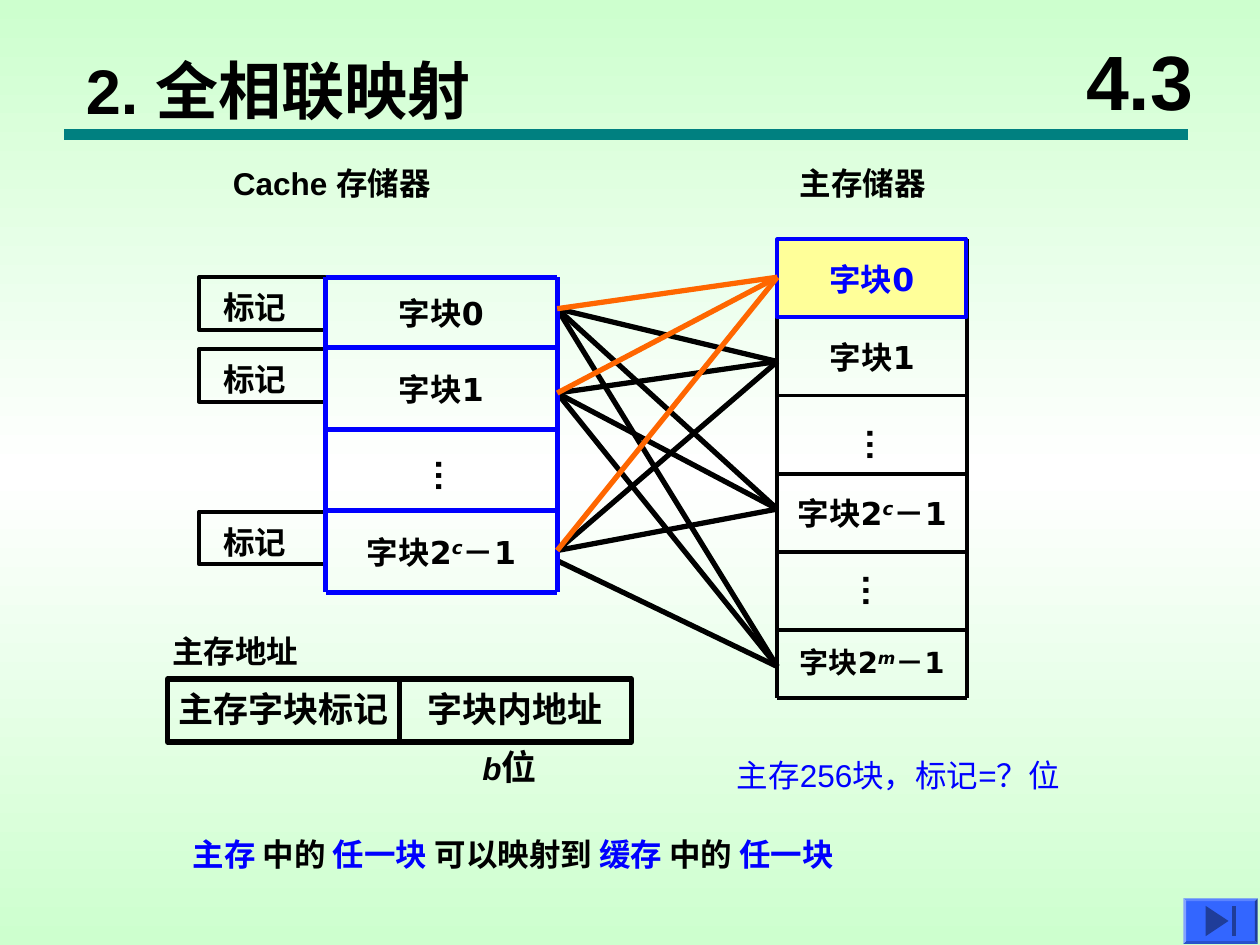
from copy import deepcopy

from lxml import etree
from pptx import Presentation
from pptx.dml.color import RGBColor
from pptx.enum.shapes import MSO_CONNECTOR, MSO_SHAPE
from pptx.enum.text import MSO_ANCHOR, MSO_AUTO_SIZE, PP_ALIGN
from pptx.oxml.ns import qn
from pptx.util import Pt

STRAIGHT = MSO_CONNECTOR.STRAIGHT
RECTANGLE, BEVEL = MSO_SHAPE.RECTANGLE, MSO_SHAPE.BEVEL
TOP, MIDDLE = MSO_ANCHOR.TOP, MSO_ANCHOR.MIDDLE
LEFT, CENTER = PP_ALIGN.LEFT, PP_ALIGN.CENTER
FIT_SHAPE, NO_FIT = MSO_AUTO_SIZE.SHAPE_TO_FIT_TEXT, MSO_AUTO_SIZE.NONE

COLORS = {
    "black": "000000", "blue": "0000FF", "orange": "FF6600", "teal": "008080",
    "yellow": "FFFF99", "mint": "CDFFCE", "white": "FFFFFF",
    "button": "3366FF", "symbol": "1F3D99",
}


def rgb(color):
    return RGBColor.from_string(COLORS[color])


class SlideBuilder:
    font = "Arial"
    block_font = "DejaVu Sans"
    insets = (7.2, 3.6, 7.2, 3.6)

    def __init__(self, slide):
        self.slide = slide
        self.shapes = slide.shapes

    def background(self, edge, middle):
        fill = self.slide.background.fill
        fill.gradient()
        fill.gradient_angle = 270
        for stop, position in zip(fill.gradient_stops, (0, 1)):
            stop.color.rgb = rgb(edge)
            stop.position = position
        stops = self.slide._element.find(".//" + qn("a:gsLst"))
        stops.insert(1, deepcopy(stops[0]))
        center = fill.gradient_stops[1]
        center.color.rgb = rgb(middle)
        center.position = 0.5

    def set_text(self, frame, pieces, size, color="black", bold=True, font=None,
                 align=LEFT, anchor=TOP, wrap=True, fit=NO_FIT, insets=None):
        frame.word_wrap = wrap
        frame.auto_size = fit
        frame.vertical_anchor = anchor
        (frame.margin_left, frame.margin_top, frame.margin_right,
         frame.margin_bottom) = map(Pt, insets or self.insets)
        paragraph = frame.paragraphs[0]
        paragraph.alignment = align
        base = paragraph.font
        base.name = font or self.font
        base.size = Pt(size)
        base.bold = bold
        base.color.rgb = rgb(color)
        for text, style in pieces:
            run = paragraph.add_run()
            run.text = text
            if "color" in style:
                run.font.color.rgb = rgb(style["color"])
            if "size" in style:
                run.font.size = Pt(style["size"])
            if "italic" in style:
                run.font.italic = True
            if "raised" in style:
                run.font._element.set("baseline", "30000")
        return paragraph

    def title(self, text, box, size):
        heading = self.shapes.title
        heading.left, heading.top, heading.width, heading.height = map(Pt, box)
        self.set_text(heading.text_frame, [(text, {})], size)

    def label(self, pieces, box, size=18, **style):
        if isinstance(pieces, str):
            pieces = [(pieces, {})]
        frame = self.shapes.add_textbox(*map(Pt, box)).text_frame
        return self.set_text(frame, pieces, size, **style)

    def caption(self, pieces, box, size=18, **style):
        return self.label(pieces, box, size, wrap=False, fit=FIT_SHAPE, **style)

    def block(self, pieces, box, size=18):
        paragraph = self.label(pieces, box, size, font=self.block_font,
                               anchor=MIDDLE, insets=(7.2, 0, 7.2, 0))
        paragraph._p.getparent().find(qn("a:bodyPr")).set("anchorCtr", "1")
        return paragraph

    def dots(self, left, top):
        paragraph = self.caption("…", (left, top, 38.2, 27.4), 20,
                                 insets=(3.6, 7.2, 3.6, 7.2))
        paragraph._p.getparent().find(qn("a:bodyPr")).set("vert", "eaVert")

    def box(self, box, text="", size=18, fill=None, line="black", weight=2.25,
            kind=RECTANGLE, **style):
        shape = self.shapes.add_shape(kind, *map(Pt, box))
        self.paint(shape, fill, line, weight)
        if text:
            self.set_text(shape.text_frame, [(text, {})], size, anchor=MIDDLE,
                          wrap=False, **style)
        return shape

    def paint(self, shape, fill, line=None, weight=1):
        shape.shadow.inherit = False
        if fill:
            shape.fill.solid()
            shape.fill.fore_color.rgb = rgb(fill)
        else:
            shape.fill.background()
        if line:
            shape.line.color.rgb = rgb(line)
            shape.line.width = Pt(weight)
        else:
            shape.line.fill.background()

    def polygon(self, points, fill):
        start, *rest = [(Pt(x), Pt(y)) for x, y in points]
        outline = self.shapes.build_freeform(*start)
        outline.add_line_segments(rest, close=True)
        self.paint(outline.convert_to_shape(), fill)

    def line(self, start, end, color="black", weight=3):
        line = self.shapes.add_connector(STRAIGHT, *map(Pt, start + end))
        line.line.color.rgb = rgb(color)
        line.line.width = Pt(weight)
        etree.SubElement(line._element.spPr, qn("a:effectLst"))

    def ladder(self, left, right, levels, color, weight):
        for y in levels:
            self.line((left, y), (right, y), color, weight)
        for x in (left, right):
            self.line((x, levels[0]), (x, levels[-1]), color, weight)


def power_block(exponent):
    return [("字块2", {}), (exponent, {"italic": True, "raised": True}), ("－1", {})]


def main():
    prs = Presentation()
    prs.slide_width, prs.slide_height = Pt(720), Pt(540)
    page = SlideBuilder(prs.slides.add_slide(prs.slide_layouts[5]))
    page.background("mint", "white")

    page.line((36.7, 77), (679, 77), "teal", 6)
    page.title("2. 全相联映射", (41.8, 25.9, 306.7, 50.4), 36)
    page.label("4.3", (606.2, 12.2, 90, 66.2), 44, align=CENTER, anchor=MIDDLE)
    page.caption("Cache 存储器", (126, 90, 131.8, 28.8))
    page.caption("主存储器", (450, 90, 86.4, 28.8))

    cache_left, cache_right = 186.1, 318.4
    cache_levels = [158.4] + [198.7 + 46.6 * i for i in range(4)]
    memory_left, memory_right = 444.2, 552.7
    memory_levels = [136.8 + 44.6 * i for i in range(6)] + [398.9]

    memory_blocks = {1: "字块1", 3: power_block("c"), 5: power_block("m")}
    for row, content in memory_blocks.items():
        top, bottom = memory_levels[row:row + 2]
        size = 16.6 if row == 5 else 18
        paragraph = page.block(
            content, (memory_left, top, memory_right - memory_left, bottom - top), size)
        if row == 5:
            paragraph.line_spacing = 0.9
    page.ladder(memory_left, memory_right, memory_levels, "black", 2.25)
    page.dots(481, 236.9)
    page.dots(478.8, 320.4)

    cache_ports = (176.4, 224.6, 314.6)
    first_port, *other_ports = (158.4, 206.6, 290.9, 380.9)
    for cache_port in cache_ports:
        for memory_port in other_ports:
            lowest = (cache_port, memory_port) == (cache_ports[-1], other_ports[-1])
            start = 320.4 if lowest else cache_port
            page.line((cache_right, start), (memory_left, memory_port))

    for tag_top in (158.4, 199.4, 292.3):
        page.box((113.8, tag_top, 72, 30.2), "标记", insets=(13.7, 4, 0, 0))
    cache_blocks = {0: "字块0", 1: "字块1", 3: power_block("c")}
    for row, content in cache_blocks.items():
        top, bottom = cache_levels[row:row + 2]
        page.block(content, (cache_left, top, cache_right - cache_left, bottom - top))
    page.ladder(cache_left, cache_right, cache_levels, "blue", 3)
    page.dots(234.7, 254.9)

    first_block = (memory_left, memory_levels[0], 108, 44.6)
    page.box(first_block, "字块0", fill="yellow", line="blue", color="blue",
             font=page.block_font, align=CENTER)
    for cache_port in cache_ports:
        page.line((cache_right, cache_port), (memory_left, first_port), "orange")

    page.caption("主存地址", (91.4, 357.8, 86.4, 28.8))
    for column, field in enumerate(("主存字块标记", "字块内地址")):
        page.box((95.8 + 132.5 * column, 388.1, 132.5, 36), field, 20,
                 weight=3, align=CENTER, insets=(0, 0, 0, 2))
    page.caption([("b", {"italic": True}), ("位", {"size": 20})],
                 (268.6, 422.6, 49.7, 31.7))
    page.caption("主存256块，标记=？位", (414, 428.4, 216, 28.8),
                 color="blue", bold=False)

    blue = {"color": "blue"}
    page.label([("主存 ", blue), ("中的 ", {}), ("任一块 ", blue), ("可以映射到 ", {}),
                ("缓存 ", blue), ("中的 ", {}), ("任一块", blue)],
               (103, 473.8, 581, 28.8), fit=FIT_SHAPE)

    button = page.box((676.3, 513.4, 42.4, 25.9), fill="button", line=None, kind=BEVEL)
    button.adjustments[0] = 0.06
    page.polygon([(702, 526.3), (689, 535), (689, 517.7)], "symbol")
    page.polygon([(704.2, 517.7), (706.3, 517.7), (706.3, 535), (704.2, 535)], "symbol")

    prs.save("out.pptx")


if __name__ == "__main__":
    main()
